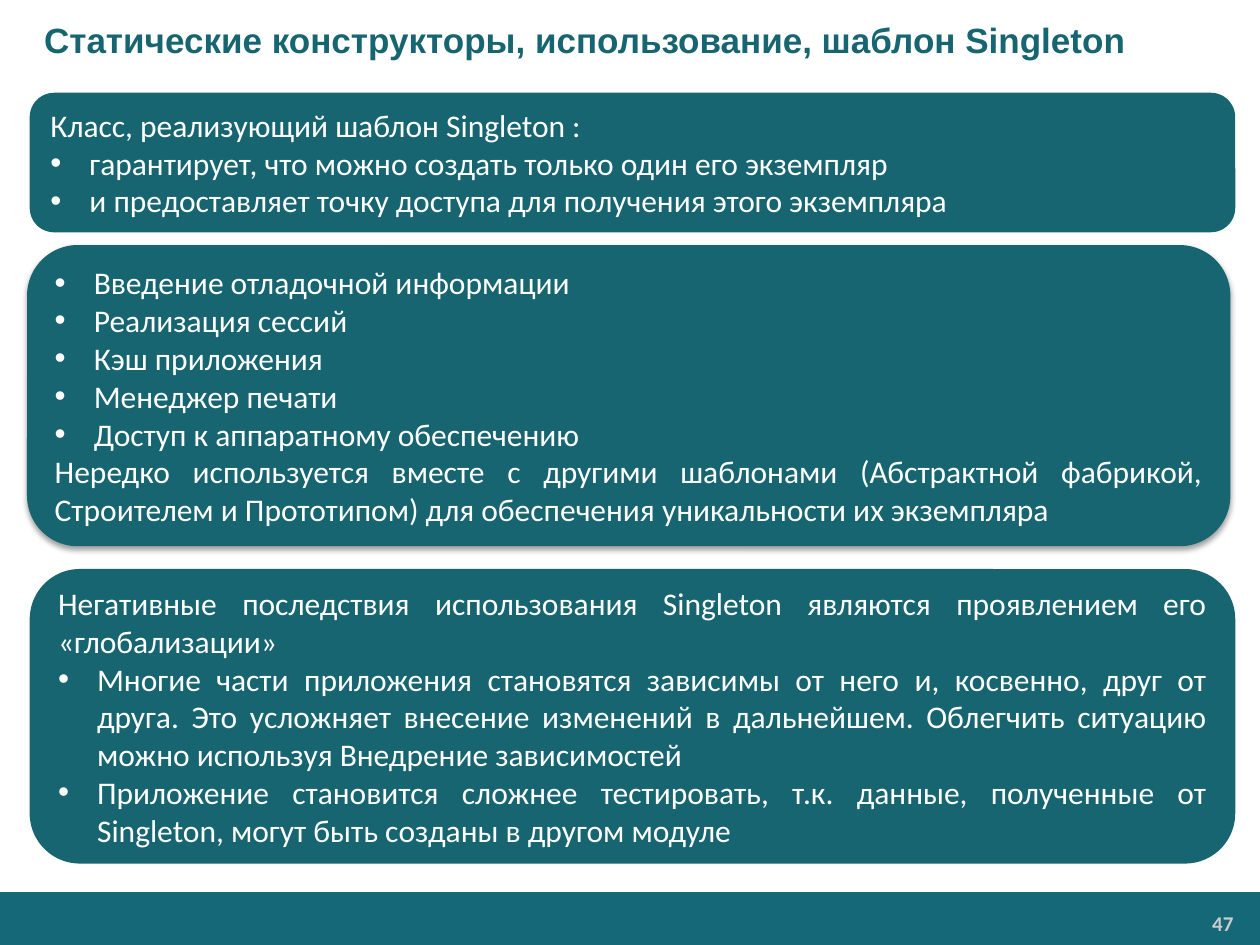
from lxml.etree import SubElement
from pptx import Presentation
from pptx.dml.color import RGBColor
from pptx.enum.shapes import MSO_SHAPE
from pptx.enum.text import MSO_ANCHOR, PP_ALIGN
from pptx.oxml.ns import qn
from pptx.util import Inches, Pt

TEAL = "176571"
FOOTER_TEAL = "146878"
WHITE = "FFFFFF"
PANEL_WIDTH = 9.54
BULLET_INDENT = 0.31

# left, top, height, line width, shadow, paragraphs as (bulleted, text)
PANELS = [
    (0.25, 0.75, 1.08, 2, False, [
        (False, "Класс, реализующий шаблон Singleton :"),
        (True, "гарантирует, что можно создать только один его экземпляр"),
        (True, "и предоставляет точку доступа для получения этого экземпляра"),
    ]),
    (0.22, 1.95, 2.38, 0.75, True, [
        (True, "Введение отладочной информации"),
        (True, "Реализация сессий"),
        (True, "Кэш приложения"),
        (True, "Менеджер печати"),
        (True, "Доступ к аппаратному обеспечению"),
        (False, "Нередко используется вместе с другими шаблонами (Абстрактной "
                "фабрикой, Строителем и Прототипом) для обеспечения "
                "уникальности их экземпляра"),
    ]),
    (0.25, 4.53, 2.31, 2, False, [
        (False, "Негативные последствия использования Singleton являются "
                "проявлением его «глобализации»"),
        (True, "Многие части приложения становятся зависимы от него и, "
               "косвенно, друг от друга. Это усложняет внесение изменений в "
               "дальнейшем. Облегчить ситуацию можно используя Внедрение "
               "зависимостей"),
        (True, "Приложение становится сложнее тестировать, т.к. данные, "
               "полученные от Singleton, могут быть созданы в другом модуле"),
    ]),
]


def color(value):
    return RGBColor.from_string(value)


def write(para, text, size=18, font="Calibri", fill=WHITE, bold=False,
          align=PP_ALIGN.JUSTIFY, left=0, first=0, bullet=None):
    properties = para._p.get_or_add_pPr()
    properties.set("marL", str(Inches(left)))
    properties.set("indent", str(Inches(first)))
    if bullet:
        SubElement(properties, qn("a:buFont"), typeface="Arial")
        SubElement(properties, qn("a:buChar"), char=bullet)
    para.alignment = align
    span = para.add_run()
    span.text = text
    span.font.size = Pt(size)
    span.font.name = font
    span.font.bold = bold
    span.font.color.rgb = color(fill)


def add_block(page, kind, left, top, width, height, fill, line_width=None):
    box = page.shapes.add_shape(kind, Inches(left), Inches(top),
                                Inches(width), Inches(height))
    box.shadow.inherit = False
    box.fill.solid()
    box.fill.fore_color.rgb = color(fill)
    if line_width:
        box.line.color.rgb = color(fill)
        box.line.width = Pt(line_width)
    else:
        box.line.fill.background()
    return box


def add_drop_shadow(box):
    effects = box.element.spPr.find(qn("a:effectLst"))
    shadow = SubElement(effects, qn("a:outerShdw"), blurRad=str(Pt(3.1)),
                        dist=str(Pt(1.6)), dir=str(90 * 60000), rotWithShape="0")
    black = SubElement(shadow, qn("a:srgbClr"), val="000000")
    SubElement(black, qn("a:alpha"), val="38000")


def add_panel(page, left, top, height, line_width, shadowed, lines):
    box = add_block(page, MSO_SHAPE.ROUNDED_RECTANGLE, left, top,
                    PANEL_WIDTH, height, TEAL, line_width)
    if shadowed:
        add_drop_shadow(box)
    frame = box.text_frame
    frame.word_wrap = True
    frame.vertical_anchor = MSO_ANCHOR.MIDDLE
    for index, (bulleted, text) in enumerate(lines):
        para = frame.add_paragraph() if index else frame.paragraphs[0]
        if bulleted:
            write(para, text, left=BULLET_INDENT, first=-BULLET_INDENT, bullet="•")
        else:
            write(para, text)


def add_footer(page, number):
    add_block(page, MSO_SHAPE.RECTANGLE, 0, 7.08, 10, 0.42, FOOTER_TEAL)
    box = page.shapes.add_textbox(Inches(8.23), Inches(7.19),
                                  Inches(1.63), Inches(0.28))
    frame = box.text_frame
    frame.word_wrap = True
    frame.margin_left = frame.margin_right = Inches(0.07)
    frame.margin_top = frame.margin_bottom = Inches(0.04)
    write(frame.paragraphs[0], number, size=12, fill="CCCCCC", bold=True,
          align=PP_ALIGN.RIGHT)


def set_title(page, text):
    title = page.shapes.title
    title.left, title.top = 0, 0
    title.width, title.height = Inches(10), Inches(0.63)
    title.text_frame.vertical_anchor = MSO_ANCHOR.MIDDLE
    write(title.text_frame.paragraphs[0], text, size=20, font="Arial",
          fill=TEAL, bold=True, align=PP_ALIGN.LEFT, left=0.25)


def main():
    deck = Presentation()
    deck.slide_width, deck.slide_height = Inches(10), Inches(7.5)
    page = deck.slides.add_slide(deck.slide_layouts.get_by_name("Title Only"))
    add_footer(page, "47")
    set_title(page, "Статические конструкторы, использование, шаблон Singleton")
    for panel in PANELS:
        add_panel(page, *panel)
    deck.save("out.pptx")


if __name__ == "__main__":
    main()
